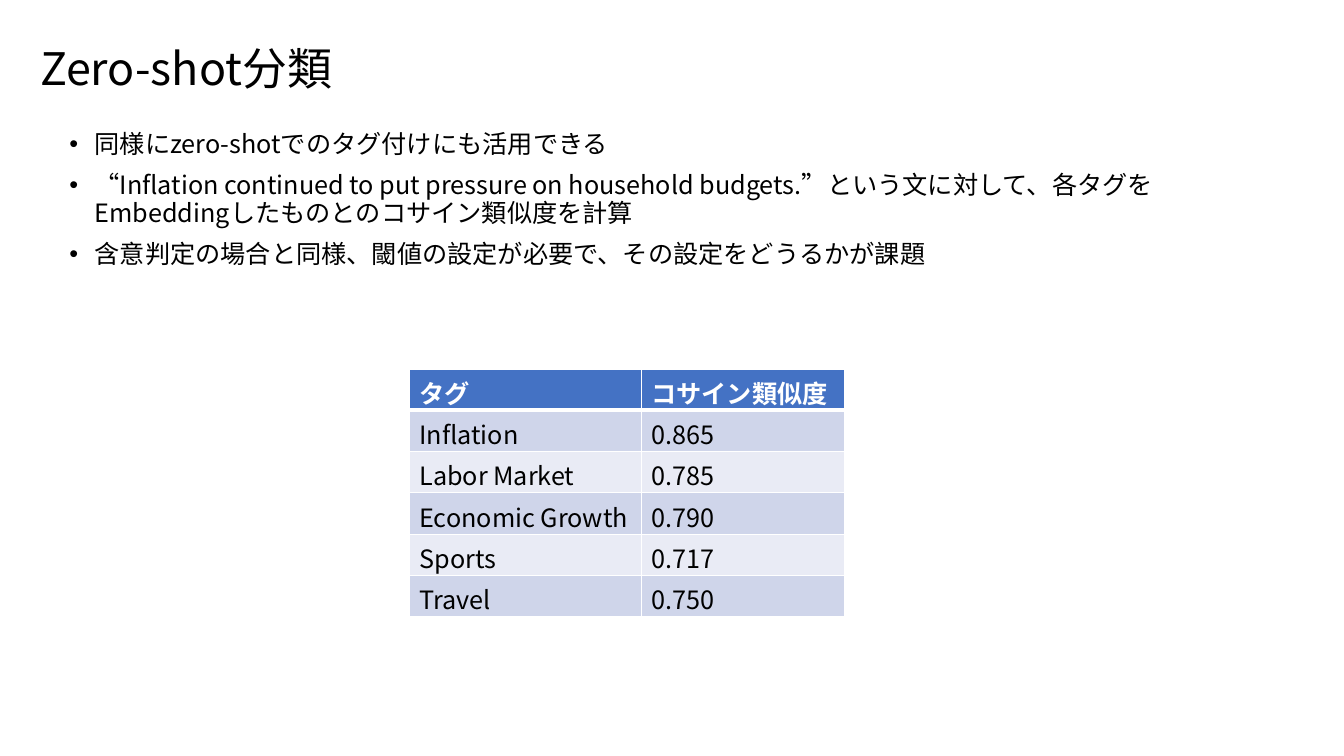
from dataclasses import dataclass

from lxml.etree import SubElement
from pptx import Presentation
from pptx.dml.color import RGBColor as RGB
from pptx.enum.text import MSO_ANCHOR as Anchor
from pptx.oxml import parse_xml
from pptx.oxml.ns import nsdecls, qn
from pptx.util import Emu, Pt

PX = 9144  # EMU per px, 100 px to the inch


def px(n):
    return Emu(n * PX)


@dataclass(frozen=True)
class Theme:
    font: str = "Noto Sans CJK JP"
    text: str = "000000"
    white: str = "FFFFFF"
    header: str = "4472C4"
    bands: tuple = ("CFD5EA", "E9EBF5")
    title_size: int = 32
    body_size: int = 18


class Deck:
    def __init__(self, theme, width, height):
        self.theme = theme
        self.prs = Presentation()
        self.prs.slide_width, self.prs.slide_height = px(width), px(height)
        self.s = self.prs.slides.add_slide(self.prs.slide_layouts[6])

    def style(self, p, size, color, bold=False):
        """Format every run, with the font set for Latin and Japanese text alike."""
        for r in p.runs:
            r.font.size, r.font.bold = Pt(size), bold
            r.font.color.rgb = RGB.from_string(color)
            r.font.name = self.theme.font
            SubElement(r.font._element, qn("a:ea"), typeface=self.theme.font)

    def text_box(self, box, text, size, anchor=Anchor.TOP):
        tf = self.s.shapes.add_textbox(*map(px, box)).text_frame
        tf.word_wrap, tf.vertical_anchor = True, anchor
        tf.text = text
        for p in tf.paragraphs:
            p.line_spacing = 0.9
            self.style(p, size, self.theme.text)
        return tf

    def title(self, box, text):
        self.text_box(box, text, self.theme.title_size, Anchor.MIDDLE)

    def bullets(self, box, items, indent):
        tf = self.text_box(box, "\n".join(items), self.theme.body_size)
        for p in tf.paragraphs:
            p.space_before = Pt(10)
            pPr = p._p.get_or_add_pPr()
            pPr.set("marL", str(px(indent)))
            pPr.set("indent", str(px(-indent)))
            SubElement(pPr, qn("a:buFont"), typeface="Arial")
            SubElement(pPr, qn("a:buChar"), char="•")

    def borders(self, cell, **widths):
        """Draw the cell's sides; widths in points are keyed L, R, T and B."""
        tcPr = cell._tc.get_or_add_tcPr()
        for i, (side, width) in enumerate(widths.items()):
            tcPr.insert(i, parse_xml(
                f'<a:ln{side} {nsdecls("a")} w="{Pt(width)}"><a:solidFill>'
                f'<a:srgbClr val="{self.theme.white}"/></a:solidFill></a:ln{side}>'))

    def table(self, left, top, col_widths, row_height, rows):
        t = self.theme
        box = (left, top, sum(col_widths), row_height * len(rows))
        table = self.s.shapes.add_table(len(rows), len(col_widths), *map(px, box)).table
        table.horz_banding = False
        for col, width in zip(table.columns, col_widths):
            col.width = px(width)
        for i, row in enumerate(rows):
            head = i == 0
            for j, value in enumerate(row):
                cell = table.cell(i, j)
                cell.text = value
                self.style(cell.text_frame.paragraphs[0], t.body_size,
                           t.white if head else t.text, head)
                cell.fill.solid()
                cell.fill.fore_color.rgb = RGB.from_string(
                    t.header if head else t.bands[(i - 1) % 2])
                self.borders(cell, L=1, R=1, T=3 if i == 1 else 1, B=3 if head else 1)


def main():
    deck = Deck(Theme(), 1333, 750)
    deck.title((30, 20, 1150, 101), "Zero-shot分類")
    deck.bullets((59, 126, 1150, 174), [
        "同様にzero-shotでのタグ付けにも活用できる",
        "“Inflation continued to put pressure on household budgets.”という文に対して、"
        "各タグをEmbeddingしたものとのコサイン類似度を計算",
        "含意判定の場合と同様、閾値の設定が必要で、その設定をどうるかが課題",
    ], indent=25)
    deck.table(406, 366, (230, 202), 41, [
        ("タグ", "コサイン類似度"),
        ("Inflation", "0.865"),
        ("Labor Market", "0.785"),
        ("Economic Growth", "0.790"),
        ("Sports", "0.717"),
        ("Travel", "0.750"),
    ])
    deck.prs.save("out.pptx")


if __name__ == "__main__":
    main()
